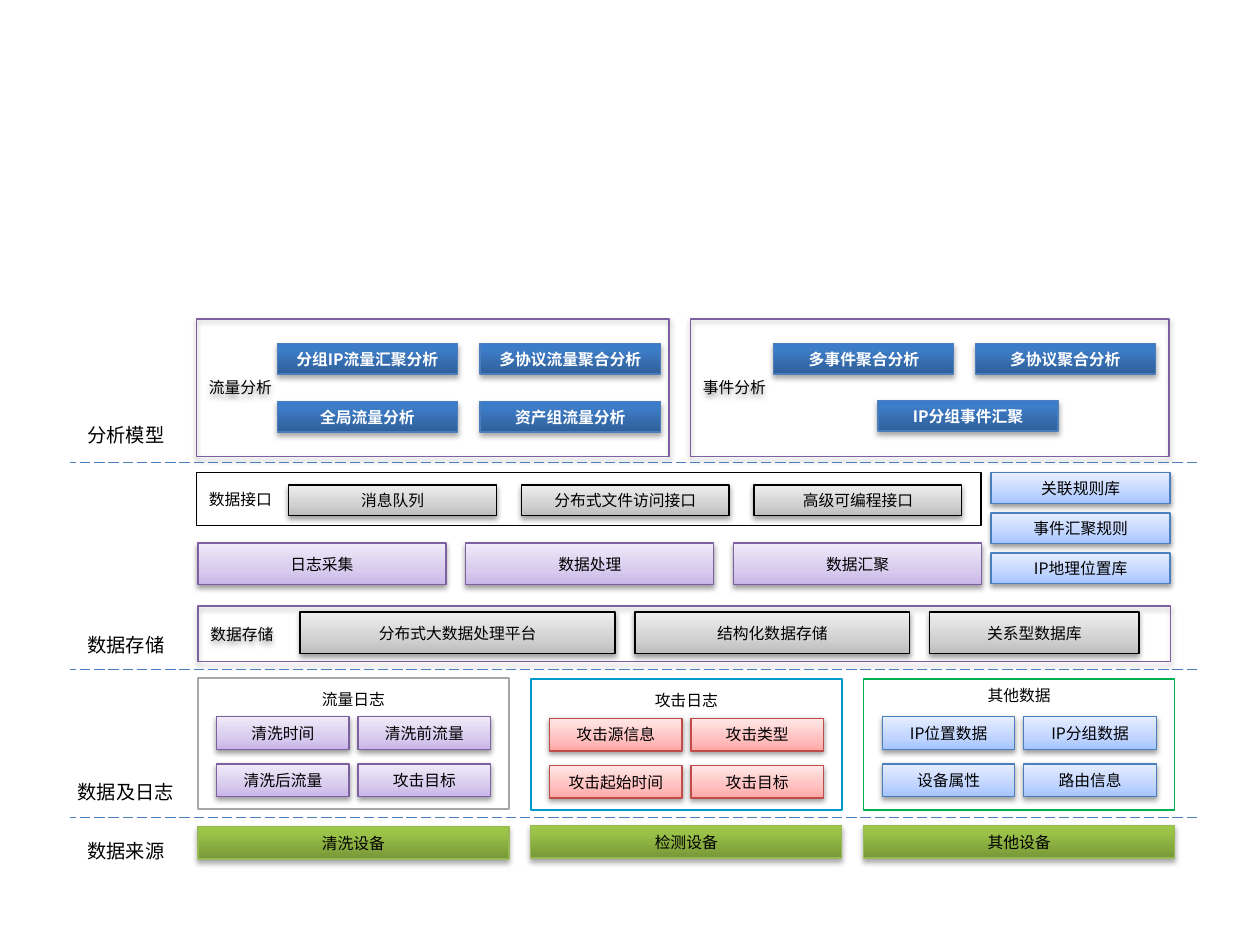
from copy import deepcopy
from itertools import product
from lxml.etree import SubElement
from pptx import Presentation
from pptx.dml.color import RGBColor
from pptx.enum.dml import MSO_LINE
from pptx.enum.shapes import MSO_CONNECTOR, MSO_SHAPE
from pptx.enum.text import MSO_ANCHOR, MSO_AUTO_SIZE, PP_ALIGN
from pptx.oxml.ns import qn
from pptx.util import Cm, Pt

FONT = "Noto Sans CJK SC"
COLORS = {"black": "000000", "white": "FFFFFF", "purple": "7D60A0", "blue": "4B7EBC",
          "red": "BF4C48", "green": "98B955", "cyan": "0099CC", "emerald": "00B050",
          "gray": "A6A6A6"}
SOFT, DEEP = (0, 0.35, 1), (0, 0.8, 1)
STYLES = {
    "purple": dict(line="purple", stops=("C9B5E8", "D8CBEE", "F0EAF9")),
    "sky": dict(line="blue", stops=("A4C4FF", "BFD4FF", "E6EEFF")),
    "red": dict(line="red", stops=("FFA6A5", "FFC0BF", "FFE7E7")),
    "gray": dict(line="black", stops=("BDBDBD", "D1D1D1", "EEEEEE")),
    "blue": dict(line="blue", stops=("2F5F99", "3D7CC7", "3A7CCB"), positions=DEEP,
                 shadow=(35, 1.8), color="white", bold=True),
    "green": dict(line="green", stops=("779737", "9BC348", "9DC746"), positions=DEEP,
                  shadow=(35, 1.8)),
    "panel": dict(line="purple", align=PP_ALIGN.LEFT),
    "plain panel": dict(line="black", align=PP_ALIGN.LEFT, shadow=None),
    "gray frame": dict(line="gray", width=1, shadow=None),
    "cyan frame": dict(line="cyan", width=1, shadow=None),
    "green frame": dict(line="emerald", width=1, shadow=None),
}

PANELS = [
    ("流量分析", "panel", 3.96, 6.43, 9.53, 2.77),
    ("事件分析", "panel", 13.92, 6.43, 9.65, 2.77),
    ("数据接口", "plain panel", 3.96, 9.53, 15.82, 1.07),
    ("数据存储", "panel", 3.99, 12.22, 19.61, 1.12),
]
ANALYSES = [
    ("分组IP流量汇聚分析", 5.59, 6.93), ("多协议流量聚合分析", 9.68, 6.93),
    ("全局流量分析", 5.59, 8.1), ("资产组流量分析", 9.68, 8.1),
    ("多事件聚合分析", 15.6, 6.93), ("多协议聚合分析", 19.66, 6.93),
    ("IP分组事件汇聚", 17.7, 8.08),
]
INTERFACES = ["消息队列", "分布式文件访问接口", "高级可编程接口"]
STEPS = ["日志采集", "数据处理", "数据汇聚"]
RULES = ["关联规则库", "事件汇聚规则", "IP地理位置库"]
STORES = [("分布式大数据处理平台", 6.35), ("结构化数据存储", 5.54), ("关系型数据库", 4.22)]
SOURCES = [
    dict(title="流量日志", title_y=13.77, frame="gray frame", style="purple", top=13.67,
         item_y=14.45, items=["清洗时间", "清洗前流量", "清洗后流量", "攻击目标"],
         device="清洗设备", device_y=16.66),
    dict(title="攻击日志", title_y=13.79, frame="cyan frame", style="red", top=13.69,
         item_y=14.48, items=["攻击源信息", "攻击类型", "攻击起始时间", "攻击目标"],
         device="检测设备", device_y=16.64),
    dict(title="其他数据", title_y=13.69, frame="green frame", style="sky", top=13.69,
         item_y=14.45, items=["IP位置数据", "IP分组数据", "设备属性", "路由信息"],
         device="其他设备", device_y=16.64),
]
DIVIDERS = [9.32, 13.49, 16.48]
LAYERS = [("分析模型", 8.41, 2.08), ("数据存储", 12.65, 2.08),
          ("数据及日志", 15.6, 2.46), ("数据来源", 16.79, 2.08)]

prs = Presentation()
prs.slide_width, prs.slide_height = Cm(25.4), Cm(19.05)
s = prs.slides.add_slide(prs.slide_layouts[6])


def rgb(name):
    return RGBColor.from_string(COLORS[name])


def write(sp, text, size=9, color="black", bold=False, align=PP_ALIGN.CENTER, **frame):
    tf = sp.text_frame
    for key, value in frame.items():
        setattr(tf, key, value)
    p = tf.paragraphs[0]
    p.alignment = align
    r = p.add_run()
    r.text = text
    for key, value in dict(name=FONT, size=Pt(size), bold=bold).items():
        setattr(r.font, key, value)
    r.font.color.rgb = rgb(color)
    SubElement(r.font._element, qn("a:ea"), typeface=FONT)


def shade(fill, stops, positions):
    fill.gradient()
    fill.gradient_angle = 90
    gs = fill.gradient_stops[0]._gs
    gs.addnext(deepcopy(gs))
    for stop, color, position in zip(fill.gradient_stops, stops, positions):
        stop.color.rgb = RGBColor.from_string(color)
        stop.position = position


def cast(sp, alpha, dist):
    effects = sp._element.spPr.find(qn("a:effectLst"))
    shadow = SubElement(effects, qn("a:outerShdw"), blurRad=str(Pt(3.1)), dist=str(Pt(dist)),
                        dir="5400000", rotWithShape="0")
    color = SubElement(shadow, qn("a:srgbClr"), val=COLORS["black"])
    SubElement(color, qn("a:alpha"), val=str(alpha * 1000))


def box(text, style, x, y, w, h):
    look = dict(width=0.75, stops=None, positions=SOFT, shadow=(38, 1.6)) | STYLES[style]
    sp = s.shapes.add_shape(MSO_SHAPE.RECTANGLE, Cm(x), Cm(y), Cm(w), Cm(h))
    sp.line.color.rgb = rgb(look["line"])
    sp.line.width = Pt(look["width"])
    sp.shadow.inherit = False
    if look["stops"]:
        shade(sp.fill, look["stops"], look["positions"])
    else:
        sp.fill.background()
    if look["shadow"]:
        cast(sp, *look["shadow"])
    if text:
        font = {key: look[key] for key in ("color", "bold", "align") if key in look}
        write(sp, text, vertical_anchor=MSO_ANCHOR.MIDDLE, **font)


def label(text, center, y, w, h, **look):
    sp = s.shapes.add_textbox(Cm(center - w / 2), Cm(y), Cm(w), Cm(h))
    write(sp, text, word_wrap=False, auto_size=MSO_AUTO_SIZE.SHAPE_TO_FIT_TEXT, **look)


for panel in PANELS:
    box(*panel)
for text, x, y in ANALYSES:
    box(text, "blue", x, y, 3.63, 0.61)
for i, (interface, step, rule) in enumerate(zip(INTERFACES, STEPS, RULES)):
    box(interface, "gray", 5.82 + 4.69 * i, 9.78, 4.19, 0.61)
    box(step, "purple", 3.99 + 5.4 * i, 10.95, 5, 0.84)
    box(rule, "sky", 19.98, 9.53 + 0.81 * i, 3.61, 0.62)

x = 6.05
for text, w in STORES:
    box(text, "gray", x, 12.34, w, 0.84)
    x += w + 0.4

for i, source in enumerate(SOURCES):
    x, w = 3.99 + 6.71 * i, 6.27
    box("", source["frame"], x, source["top"], w, 2.64)
    label(source["title"], x + w / 2, source["title_y"], 1.8, 0.64,
          vertical_anchor=MSO_ANCHOR.MIDDLE)
    for item, (row, col) in zip(source["items"], product(range(2), repeat=2)):
        box(item, source["style"], x + 0.38 + 2.85 * col, source["item_y"] + 0.95 * row,
            2.67, 0.66)
    box(source["device"], "green", x, source["device_y"], w, 0.66)

for y in DIVIDERS:
    line = s.shapes.add_connector(MSO_CONNECTOR.STRAIGHT, Cm(24.13), Cm(y), Cm(1.42), Cm(y))
    line.line.color.rgb = rgb("blue")
    line.line.width = Pt(0.75)
    line.line.dash_style = MSO_LINE.LONG_DASH
    SubElement(line._element.spPr, qn("a:effectLst"))

for text, y, w in LAYERS:
    label(text, 2.54, y, w, 0.74, size=11)

prs.save("out.pptx")
